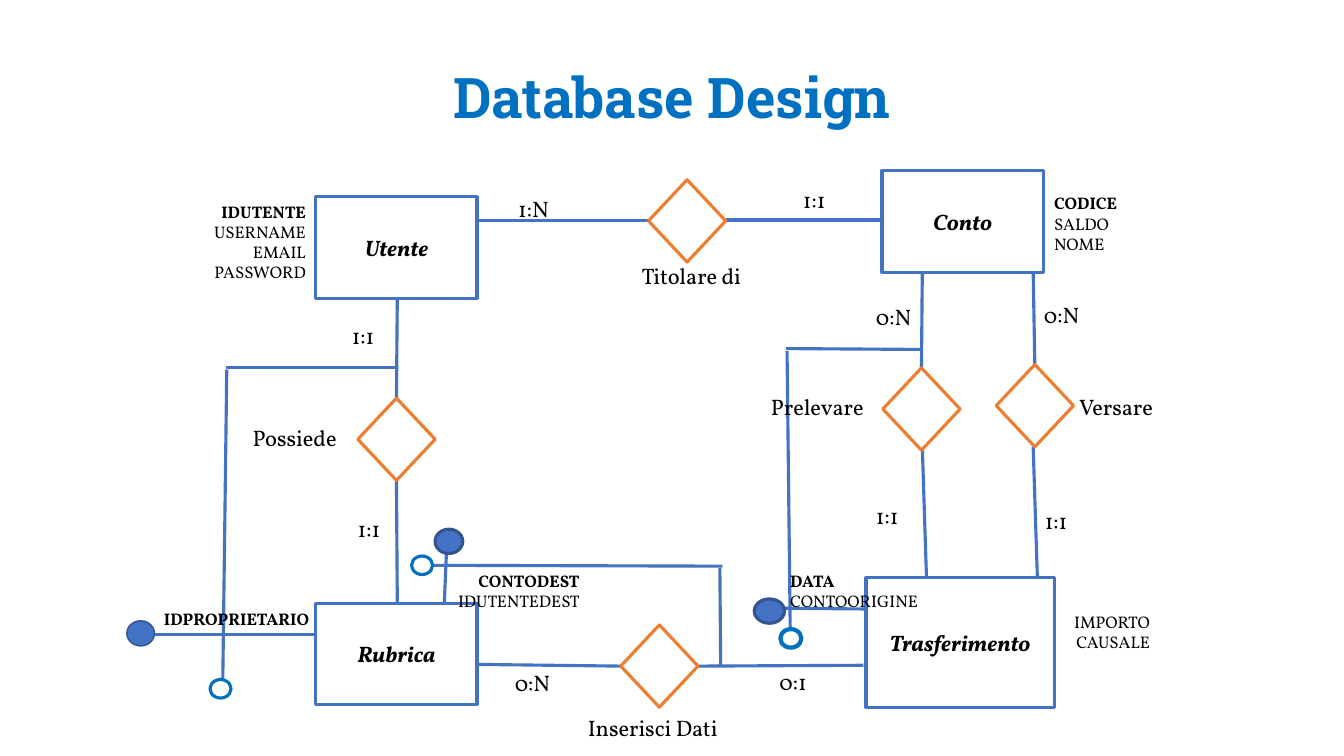
"""Build the Database Design slide: an entity-relationship diagram on a 160 by 90 grid."""
from pptx import Presentation
from pptx import util as u
from pptx.dml.color import RGBColor
from pptx.enum import shapes, text
from pptx.oxml.ns import qn

WHITE = RGBColor(0xFF, 0xFF, 0xFF)
BLACK = RGBColor(0x00, 0x00, 0x00)
BLUE = RGBColor(0x44, 0x72, 0xC4)
NAVY = RGBColor(0x32, 0x54, 0x91)
AZURE = RGBColor(0x00, 0x70, 0xC0)
ORANGE = RGBColor(0xED, 0x7D, 0x31)
LEFT, CENTER, RIGHT = text.PP_ALIGN.LEFT, text.PP_ALIGN.CENTER, text.PP_ALIGN.RIGHT
SHAPE = shapes.MSO_SHAPE

deck = Presentation()
deck.slide_width, deck.slide_height = u.Inches(13.333), u.Inches(7.5)
COLUMN, ROW = deck.slide_width / 160, deck.slide_height / 90
page = deck.slides.add_slide(deck.slide_layouts[5])


def grid(*cells):
    """Turn alternating column and row counts into lengths."""
    return [int(cell * (COLUMN, ROW)[index % 2]) for index, cell in enumerate(cells)]


def write(box, lines, size=16, font="Vollkorn", color=BLACK, align=LEFT,
          bold_lines=0, italic=False, anchor=text.MSO_ANCHOR.TOP):
    """Fill a box with one paragraph per line, the first ones in bold."""
    frame = box.text_frame
    frame.word_wrap = True
    frame.vertical_anchor = anchor
    for index, line in enumerate(lines.split("\n")):
        para = frame.add_paragraph() if index else frame.paragraphs[0]
        para.alignment = align
        span = para.add_run()
        span.text = line
        span.font.name, span.font.size = font, u.Pt(size)
        span.font.bold, span.font.italic = index < bold_lines, italic
        span.font.color.rgb = color


title = page.shapes.title
title.left, title.top, title.width, title.height = grid(27.8, 4.8, 104.4, 14.2)
write(title, "Database Design", size=40, font="Roboto Slab", color=AZURE,
      align=CENTER, bold_lines=1, anchor=text.MSO_ANCHOR.MIDDLE)
title.text_frame.paragraphs[0].line_spacing = 0.9

links = [
    (123, 32.3, 123.2, 43.7), (123, 53.2, 123.5, 68.8),
    (109.8, 32.3, 109.7, 43.8), (109.8, 53.2, 110.3, 68.8),
    (86.4, 26.2, 105.1, 26.2), (55, 26.3, 77.2, 26.3),
    (91.2, 72.4, 103, 72.5), (94.1, 77, 93.7, 41.8), (93.6, 41.5, 109.6, 41.6),
    (47.3, 35.4, 47.2, 47.4), (47.2, 57.2, 47.3, 71.8),
    (37.6, 75.5, 18.5, 75.5), (26.5, 82.7, 27, 44), (47.3, 43.8, 26.9, 43.8),
    (83.2, 79.3, 102.8, 79.2), (56.8, 79.1, 73.9, 79.3),
    (53.2, 64.6, 52.9, 71.8), (85.8, 79.4, 85.7, 67.6), (51.5, 67.3, 86, 67.4),
]
for ends in links:
    link = page.shapes.add_connector(shapes.MSO_CONNECTOR.STRAIGHT, *grid(*ends))
    link.line.color.rgb, link.line.width = BLUE, u.Pt(2.25)
    properties = link._element.spPr
    properties.append(properties.makeelement(qn("a:effectLst"), {}))

entities = [
    ("Utente", 37.6, 23.4, 19.2, 12.1), ("Rubrica", 37.6, 71.8, 19.2, 12.1),
    ("Conto", 105, 20.3, 19.2, 12.1), ("Trasferimento", 103.1, 68.8, 22.4, 15.4),
]
relations = [
    ("Versare", 118.6, 43.4, 127.3, 46.2), ("Prelevare", 105.1, 43.8, 90.6, 46.2),
    ("Titolare di", 77.2, 21.4, 75.2, 30.6), ("Possiede", 42.6, 47.4, 28.9, 49.9),
    ("Inserisci Dati", 73.9, 74.4, 68.8, 84.4),
]
key_dots = [(89.8, 71.3, 3.6, 2.9, 2.25), (15.1, 73.9, 3.3, 3, 1), (51.8, 63, 3.3, 2.9, 2.25)]
foreign_dots = [(25, 80.9, 2.25), (92.9, 74.9, 3), (49, 66.2, 2.25)]

figures = [(SHAPE.RECTANGLE, place, WHITE, BLUE, 2.25, name) for name, *place in entities]
figures += [(SHAPE.DIAMOND, (x, y, 9.2, 9.8), WHITE, ORANGE, 2.25, "")
            for name, x, y, *label in relations]
figures += [(SHAPE.OVAL, place, BLUE, NAVY, weight, "") for *place, weight in key_dots]
figures += [(SHAPE.OVAL, (x, y, 2.5, 2.2), WHITE, AZURE, weight, "")
            for x, y, weight in foreign_dots]
for kind, place, fill, outline, weight, name in figures:
    figure = page.shapes.add_shape(kind, *grid(*place))
    figure.shadow.inherit = False
    figure.fill.solid()
    figure.fill.fore_color.rgb = fill
    figure.line.color.rgb, figure.line.width = outline, u.Pt(weight)
    if name:
        write(figure, name, align=CENTER, bold_lines=1, italic=True,
              anchor=text.MSO_ANCHOR.MIDDLE)

captions = [(name, x, y, 24) for name, *diamond, x, y in relations]
captions += [(ratio, x, y, 8) for ratio, x, y in [
    ("1:N", 60.5, 22.6), ("1:1", 94.4, 21.6), ("0:N", 103.1, 35.5), ("0:N", 123.1, 35.3),
    ("1:1", 103.1, 59.2), ("1:1", 123.2, 59.8), ("1:1", 40.7, 37.7), ("1:1", 41.4, 60.7),
    ("0:N", 60.1, 79.1), ("0:1", 91.6, 79),
]]
for caption, x, y, width in captions:
    write(page.shapes.add_textbox(*grid(x, y, width, 4.4)), caption)

attributes = [
    ("IDUTENTE\nUSERNAME\nEMAIL\nPASSWORD", 11.2, 23.4, 26.4, RIGHT, 1),
    ("CODICE\nSALDO\nNOME", 124.3, 22.4, 23.8, LEFT, 1),
    ("DATA\nCONTOORIGINE", 92.9, 67.3, 24, LEFT, 1),
    ("IMPORTO\nCAUSALE", 124, 72.2, 14.1, RIGHT, 0),
    ("IDPROPRIETARIO", 15.4, 71.9, 22.6, RIGHT, 1),
    ("CONTODEST\nIDUTENTEDEST", 50.9, 67.3, 19.3, RIGHT, 1),
]
for lines, x, y, width, align, bold_lines in attributes:
    height = 1.2 + 2.45 * len(lines.split("\n"))
    write(page.shapes.add_textbox(*grid(x, y, width, height)), lines,
          size=12, align=align, bold_lines=bold_lines)

deck.save("out.pptx")
